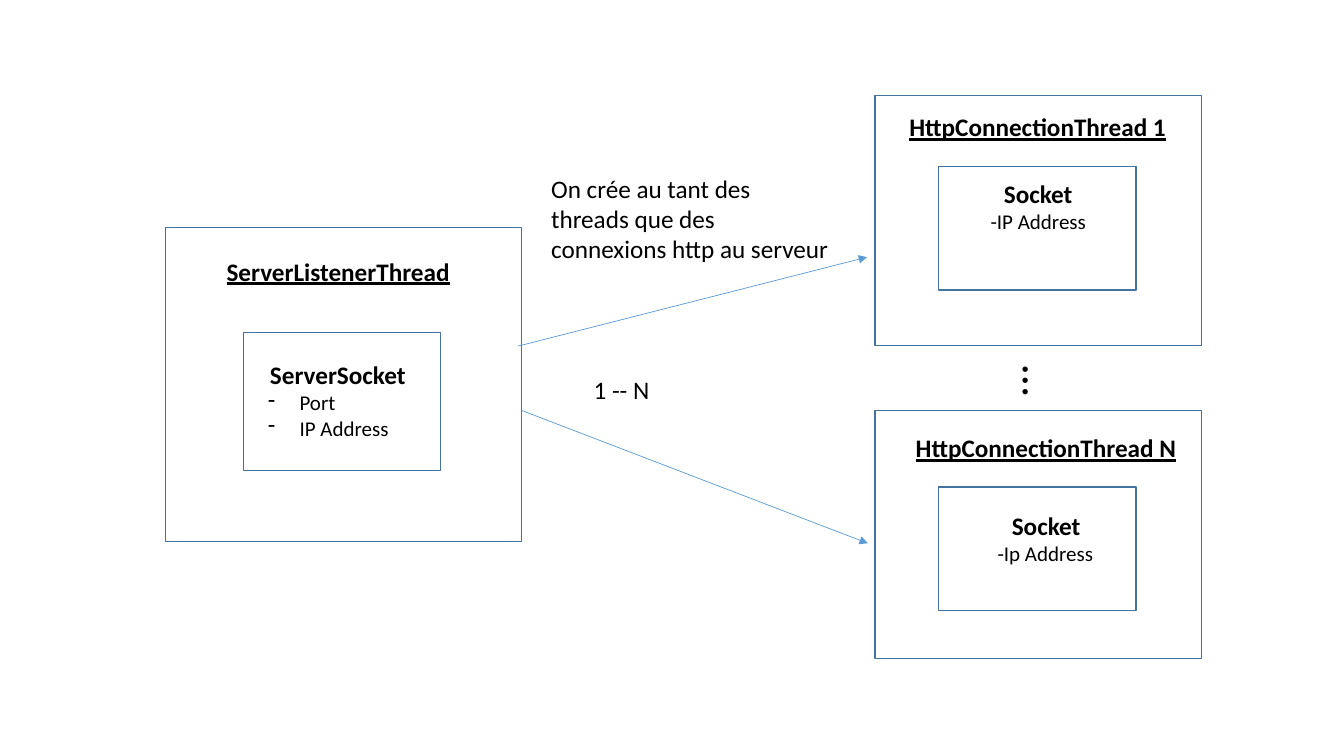
from lxml import etree
from pptx import Presentation
from pptx import util as u
from pptx.dml.color import RGBColor
from pptx.enum import shapes, text
from pptx.oxml.ns import qn

CENTER = text.PP_ALIGN.CENTER
LEFT = text.PP_ALIGN.LEFT


def rgb(value):
    return RGBColor.from_string(value)


def inside(box, dx, dy, w, h):
    """Box placed relative to the top left corner of another box."""
    return box[0] + dx, box[1] + dy, w, h


def add_frame(slide, box):
    sp = slide.shapes.add_shape(shapes.MSO_SHAPE.RECTANGLE, *map(u.Cm, box))
    sp.shadow.inherit = False
    sp.fill.background()
    sp.line.color.rgb = rgb("43739E")
    sp.line.width = u.Pt(1)


def add_text(slide, box, lines, wrap=False):
    """Each line is (words, size, bold, alignment)."""
    sp = slide.shapes.add_textbox(*map(u.Cm, box))
    tf = sp.text_frame
    tf.word_wrap = wrap
    tf.auto_size = text.MSO_AUTO_SIZE.SHAPE_TO_FIT_TEXT
    for i, (words, size, bold, align) in enumerate(lines):
        p = tf.add_paragraph() if i else tf.paragraphs[0]
        p.text = words
        p.alignment = align
        p.font.name = "Calibri"
        p.font.size = u.Pt(size)
        p.font.bold = bold
        p.font.color.rgb = rgb("000000")
    return sp


def add_dash(p):
    pPr = p._p.get_or_add_pPr()
    pPr.set("marL", str(u.Cm(0.79)))
    pPr.set("indent", str(-u.Cm(0.79)))
    bullet = etree.Element(qn("a:buChar"), char="-")
    pPr.insert_element_before(bullet, "a:tabLst", "a:defRPr", "a:extLst")


def add_thread(slide, box, title, title_at, socket_at, label_at, details,
               align=CENTER, dashes=False):
    """Thread frame with its title, and a socket frame with its details."""
    add_frame(slide, box)
    sp = add_text(slide, inside(box, *title_at), [(title, 18, True, CENTER)])
    p = sp.text_frame.paragraphs[0]
    p.font.underline = True
    p.line_spacing = 1.07
    p.space_after = u.Pt(8)

    socket = inside(box, *socket_at)
    add_frame(slide, socket)
    name, *fields = details
    lines = [(name, 18, True, CENTER)] + [(f, 15, False, align) for f in fields]
    sp = add_text(slide, inside(socket, *label_at), lines)
    if dashes:
        for p in sp.text_frame.paragraphs[1:]:
            add_dash(p)


def add_arrow(slide, start, end):
    c = slide.shapes.add_connector(shapes.MSO_CONNECTOR.STRAIGHT,
                                   *map(u.Cm, start + end))
    c.line.color.rgb = rgb("5B9BD5")
    c.line.width = u.Pt(0.5)
    etree.SubElement(c.line._get_or_add_ln(), qn("a:tailEnd"), type="triangle")
    etree.SubElement(c._element.spPr, qn("a:effectLst"))


def add_links(slide, box):
    """Arrows from the listener to the connections, with their captions."""
    x, y, w, h = box
    add_arrow(slide, (x, y + 2.24), (x + 8.79, y))
    add_arrow(slide, (x + 0.08, y + 3.86), (x + w, y + h))
    add_text(slide, inside(box, 1.65, 2.84, 1.93, 1.02),
             [("1 -- N", 18, False, LEFT)])
    add_text(slide, inside(box, 0.58, -2.24, 7.59, 2.57),
             [("On crée au tant des threads que des connexions http au serveur",
               18, False, LEFT)], wrap=True)


def main():
    prs = Presentation()
    prs.slide_width, prs.slide_height = u.Cm(33.87), u.Cm(19.05)
    slide = prs.slides.add_slide(prs.slide_layouts[6])

    # Listener on the left
    add_thread(slide, (4.17, 5.74, 8.97, 7.9), "ServerListenerThread",
               (1.27, 0.53, 6.17, 1.09), (1.96, 2.64, 4.98, 3.48),
               (0.38, 0.56, 4.01, 2.31),
               ["ServerSocket", "Port", "IP Address"], LEFT, dashes=True)

    # Connections on the right
    add_thread(slide, (22.05, 2.41, 8.23, 6.3), "HttpConnectionThread 1",
               (0.58, 0.23, 7.04, 1.09), (1.6, 1.78, 4.98, 3.12),
               (1.04, 0.18, 2.95, 1.68), ["Socket", "-IP Address"])
    add_thread(slide, (22.05, 10.34, 8.23, 6.25), "HttpConnectionThread N",
               (0.74, 0.38, 7.14, 1.09), (1.6, 1.93, 4.98, 3.12),
               (1.24, 0.46, 2.95, 1.68), ["Socket", "-Ip Address"], LEFT)

    # Vertical dots between the connections
    dots = add_text(slide, (25.58, 8.79, 1.27, 1.63),
                    [("…", 32, False, LEFT)], wrap=True)
    dots.rotation = 90

    # Links between both sides
    add_links(slide, (13.06, 6.48, 8.81, 7.21))

    prs.save("out.pptx")


if __name__ == "__main__":
    main()
